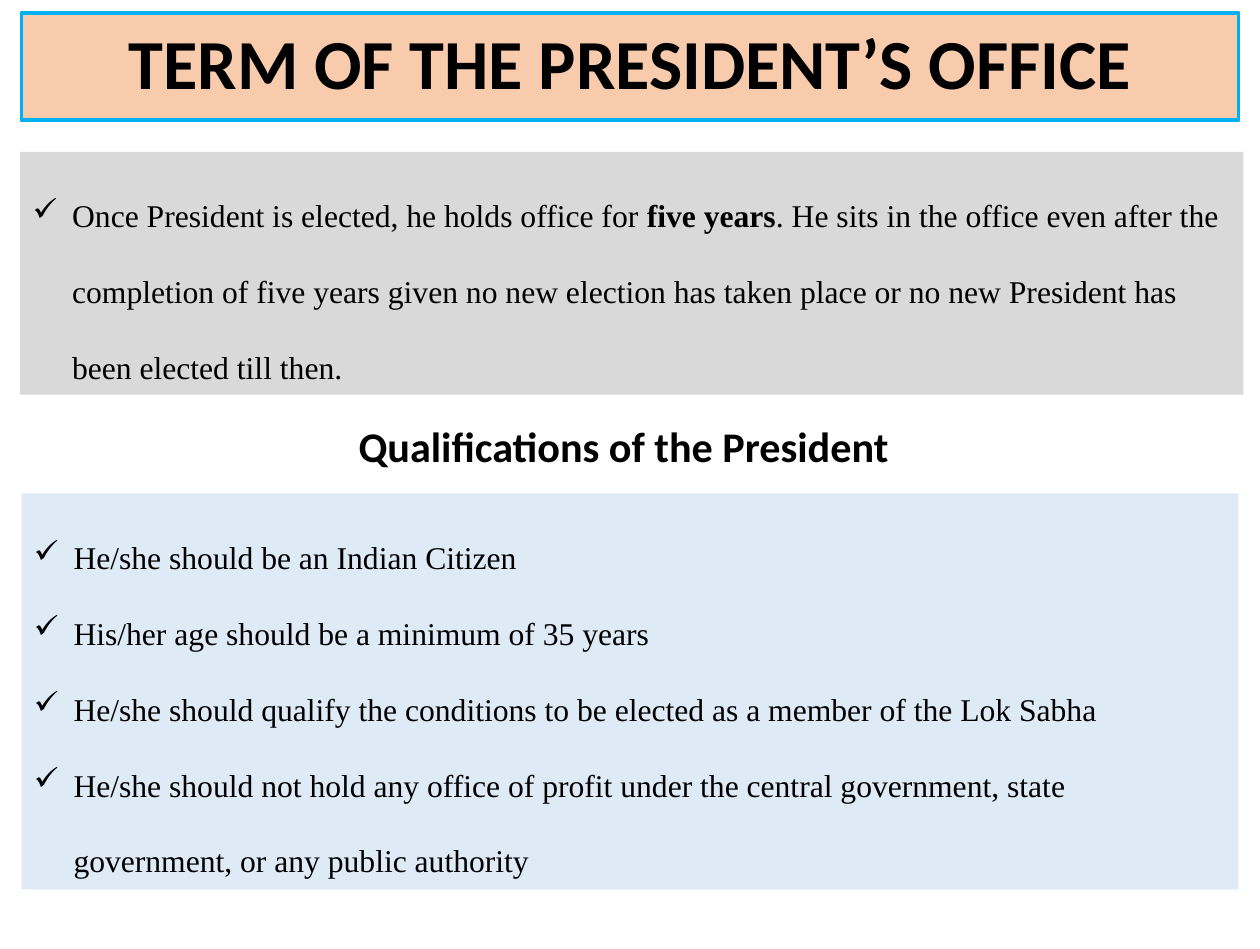
from dataclasses import dataclass

from lxml.etree import SubElement
from pptx import Presentation
from pptx.dml.color import RGBColor as Rgb
from pptx.enum.shapes import MSO_SHAPE as Kind
from pptx.enum.text import MSO_ANCHOR as Anchor, MSO_AUTO_SIZE as Auto, PP_ALIGN as Align
from pptx.oxml.ns import qn
from pptx.slide import Slide
from pptx.util import Pt

HANG = 22.5


@dataclass
class Panel:
    left: float
    top: float
    width: float
    height: float
    lines: list[str]
    size: float
    face: str = "Times New Roman"
    fill: str = ""
    edge: str = ""
    head: bool = False
    gap: float = 2
    grow: bool = True
    key: str = ""


def tint(code: str) -> Rgb:
    return Rgb.from_string(code)


def tick(para) -> None:
    props = para._p.get_or_add_pPr()
    props.set("marL", str(Pt(HANG)))
    props.set("indent", str(-Pt(HANG)))
    SubElement(props, qn("a:buChar")).set("char", "✓")


def write(para, line: str, panel: Panel) -> None:
    if panel.head:
        para.alignment = Align.CENTER
    else:
        para.alignment = Align.LEFT
        tick(para)
    para.line_spacing = panel.gap
    start, key, rest = line.partition(panel.key) if panel.key else (line, "", "")
    para.text = start
    for part in filter(None, (key, rest)):
        para.add_run().text = part
    for run in para.runs:
        font = run.font
        font.name = panel.face
        font.size = Pt(panel.size)
        font.color.rgb = tint("000000")
        font.bold = panel.head or (bool(key) and run.text == key)


def draw(slide: Slide, panel: Panel) -> None:
    place = [Pt(n) for n in (panel.left, panel.top, panel.width, panel.height)]
    if panel.fill:
        box = slide.shapes.add_shape(Kind.RECTANGLE, *place)
        box.shadow.inherit = False
        box.fill.solid()
        box.fill.fore_color.rgb = tint(panel.fill)
        if panel.edge:
            box.line.color.rgb = tint(panel.edge)
            box.line.width = Pt(2.25)
        else:
            box.line.fill.background()
    else:
        box = slide.shapes.add_textbox(*place)
    frame = box.text_frame
    frame.word_wrap = True
    frame.auto_size = Auto.SHAPE_TO_FIT_TEXT if panel.grow else Auto.NONE
    frame.vertical_anchor = Anchor.TOP if panel.grow else Anchor.MIDDLE
    frame.text = "\n".join(panel.lines)
    for para, line in zip(frame.paragraphs, panel.lines):
        write(para, line, panel)


PANELS = [
    Panel(12.24, 7.2, 692.64, 61.2, ["TERM OF THE PRESIDENT’S OFFICE"], 40,
          face="Calibri", fill="F8CBAD", edge="00B0F0", head=True, gap=0.9, grow=False),
    Panel(11.52, 86.4, 696.24, 138.24, [
        "Once President is elected, he holds office for five years. He sits in the office "
        "even after the completion of five years given no new election has taken place or "
        "no new President has been elected till then.",
    ], 18, fill="D9D9D9", key="five years"),
    Panel(192.24, 235.44, 325.44, 36, ["Qualifications of the President"], 24,
          face="Calibri", head=True, gap=1),
    Panel(12.24, 280.8, 692.64, 225.36, [
        "He/she should be an Indian Citizen",
        "His/her age should be a minimum of 35 years",
        "He/she should qualify the conditions to be elected as a member of the Lok Sabha",
        "He/she should not hold any office of profit under the central government, state "
        "government, or any public authority",
    ], 18, fill="DEEBF7"),
]


def main() -> None:
    deck = Presentation()
    deck.slide_width, deck.slide_height = Pt(717.12), Pt(540)
    slide = deck.slides.add_slide(deck.slide_layouts[6])
    for panel in PANELS:
        draw(slide, panel)
    deck.save("out.pptx")


if __name__ == "__main__":
    main()
